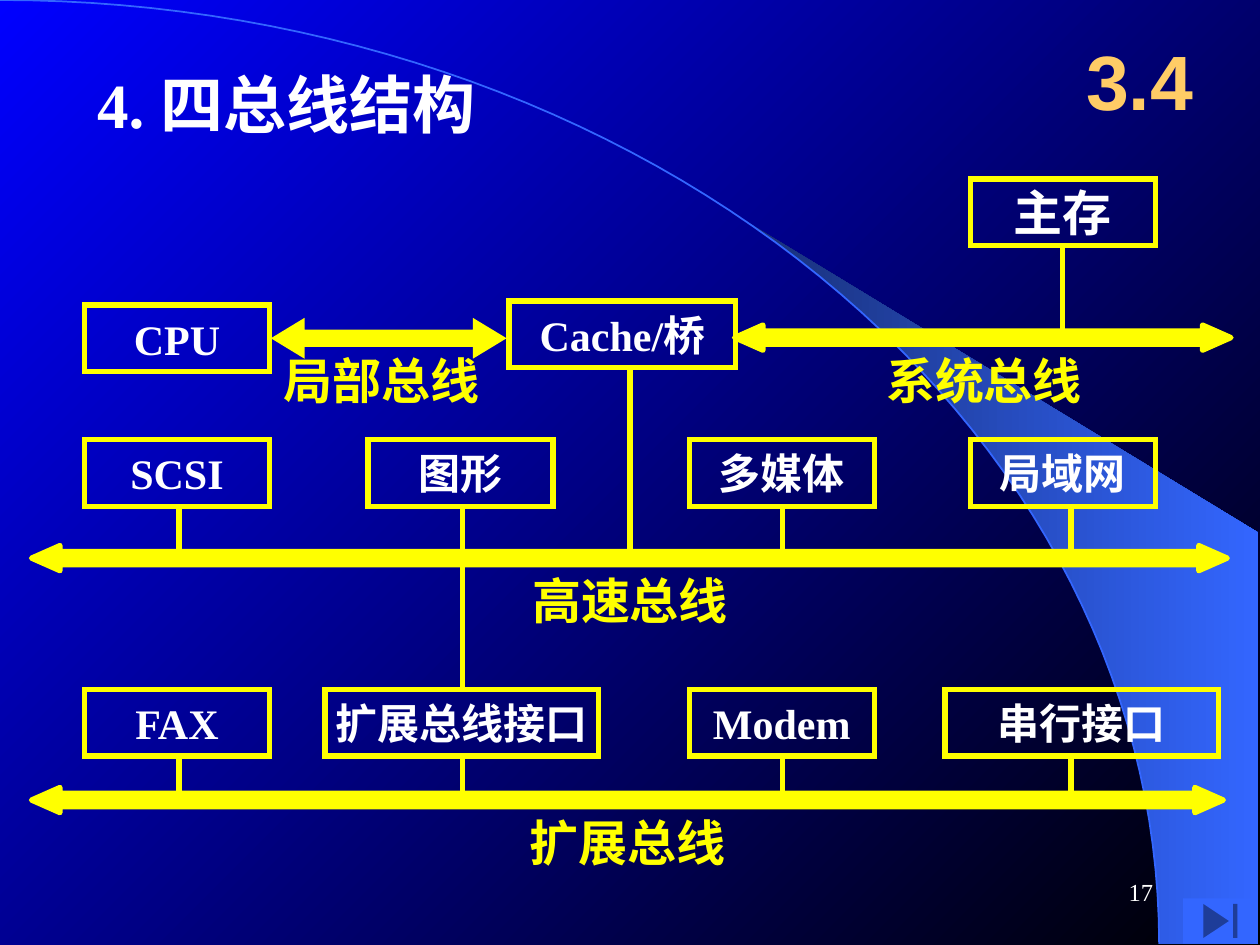
import math

from lxml import etree
from pptx import Presentation
from pptx.dml.color import RGBColor
from pptx.enum.shapes import MSO_CONNECTOR, MSO_SHAPE
from pptx.enum.text import MSO_ANCHOR, PP_ALIGN
from pptx.oxml.ns import qn
from pptx.util import Inches, Pt

LEFT, CENTER, RIGHT = PP_ALIGN.LEFT, PP_ALIGN.CENTER, PP_ALIGN.RIGHT
MIDDLE = MSO_ANCHOR.MIDDLE
RECT, ARROW = MSO_SHAPE.RECTANGLE, MSO_SHAPE.LEFT_RIGHT_ARROW
END_BUTTON = MSO_SHAPE.ACTION_BUTTON_END
STRAIGHT = MSO_CONNECTOR.STRAIGHT
CJK, SERIF, SANS = "Noto Sans CJK SC", "Times New Roman", "Arial"
YELLOW, WHITE, BLUE, GOLD = "FFFF00", "FFFFFF", "3366FF", "FFCC66"
BOX_W, BOX_H, BUS_H, LABEL_W = 1.47, 0.53, 0.2, 1.8


def rgb(color):
    """Turn a hex string into a colour."""
    return RGBColor.from_string(color)


def set_text(sp, text, size, font, color=WHITE, bold=True, align=CENTER, inset=0, wrap=False):
    """Write one formatted line of text into a shape."""
    tf = sp.text_frame
    frame = dict(word_wrap=wrap, vertical_anchor=MIDDLE, margin_left=Inches(inset),
                 margin_right=Inches(inset), margin_top=Inches(inset / 2),
                 margin_bottom=Inches(inset / 2))
    for key, value in frame.items():
        setattr(tf, key, value)
    p = tf.paragraphs[0]
    p.alignment = align
    r = p.add_run()
    r.text = text
    for key, value in dict(size=Pt(size), name=font, bold=bold).items():
        setattr(r.font, key, value)
    r.font.color.rgb = rgb(color)
    etree.SubElement(r.font._element, qn("a:ea"), typeface=CJK)


def set_line(sp, color, width, join="round"):
    """Draw the outline of a shape with the given corner join."""
    sp.line.color.rgb = rgb(color)
    sp.line.width = Pt(width)
    etree.SubElement(sp.line._get_or_add_ln(), qn(f"a:{join}"))


def set_gradient(fill, start, end, angle):
    """Apply a two-colour linear gradient."""
    fill.gradient()
    fill.gradient_angle = angle
    for stop, color, position in zip(fill.gradient_stops, (start, end), (0, 1)):
        stop.color.rgb = rgb(color)
        stop.position = position


def add_text(s, box, text, size, font, **formats):
    """Add a text box."""
    sp = s.shapes.add_textbox(*map(Inches, box))
    set_text(sp, text, size, font, **formats)


def add_outline(s, points, close):
    """Build a freeform through points given in inches."""
    points = [(Inches(x), Inches(y)) for x, y in points]
    builder = s.shapes.build_freeform(*points[0])
    builder.add_line_segments(points[1:], close=close)
    sp = builder.convert_to_shape()
    sp.shadow.inherit = False
    return sp


def add_backdrop(s, width, height):
    """Draw the gradient background, the quarter arc and the wedge beside it."""
    set_gradient(s.background.fill, "0000FF", "000000", 315)
    radius = width - 0.79

    def arc(start):
        angles = [start + (math.pi / 2 - start) * i / 60 for i in range(61)]
        return [(radius * math.sin(a), height * (1 - math.cos(a))) for a in angles]

    wedge = add_outline(s, arc(math.asin(5.89 / radius)) + [(width, height), (width, 4.23)], True)
    set_gradient(wedge.fill, "182F76", BLUE, 0)
    wedge.line.fill.background()
    curve = add_outline(s, arc(0), False)
    curve.fill.background()
    set_line(curve, BLUE, 1)


def add_heading(s, box, text, section):
    """Place the title at the left of a band and the section number at its right."""
    x, y, w, h = box
    title = s.shapes.title
    frame = dict(left=x, top=y + 0.3, width=4, height=0.7)
    for key, value in frame.items():
        setattr(title, key, Inches(value))
    set_text(title, text, 36, SERIF, align=LEFT, inset=0.1)
    add_text(s, (x + w - 1.25, y, 1.25, h), section, 44, SANS, color=GOLD, inset=0.1)


def add_device(s, x, y, text, font=CJK, width=BOX_W, size=24):
    """Draw one framed device box with its name."""
    sp = s.shapes.add_shape(RECT, *map(Inches, (x, y, width, BOX_H)))
    sp.shadow.inherit = False
    sp.fill.background()
    set_line(sp, YELLOW, 3, "miter")
    set_text(sp, text, size, font)


def add_arrow(s, box, shaft, head, join="round"):
    """Draw a solid double-headed bus arrow."""
    sp = s.shapes.add_shape(ARROW, *map(Inches, box))
    sp.shadow.inherit = False
    sp.fill.solid()
    sp.fill.fore_color.rgb = rgb(YELLOW)
    set_line(sp, YELLOW, 3, join)
    sp.adjustments[0], sp.adjustments[1] = shaft, head


def add_label(s, center, y, text):
    """Write a bus name centred on a position."""
    add_text(s, (center - LABEL_W / 2, y, LABEL_W, 0.47), text, 28, CJK, color=YELLOW)


def add_bus(s, x, y, width, text, label_center):
    """Draw a long bus with its name below."""
    add_arrow(s, (x, y, width, BUS_H), 0.53, 1.13)
    add_label(s, label_center, y + BUS_H, text)


def add_link(s, x, top, bottom):
    """Draw a vertical link."""
    sp = s.shapes.add_connector(STRAIGHT, *map(Inches, (x, top, x, bottom)))
    set_line(sp, YELLOW, 3)
    etree.SubElement(sp._element.spPr, qn("a:effectLst"))


def add_top_row(s, x, y):
    """Draw the processor, cache bridge and main memory with their buses."""
    add_device(s, x, y + 0.03, "CPU", SERIF)
    add_device(s, x + 3.37, y, "Cache/桥", SERIF, 1.8)
    add_device(s, x + 7.03, y - 0.97, "主存", size=28)
    add_link(s, x + 7.76, y - 0.44, y + 0.28)
    add_link(s, x + 4.33, y + BOX_H, y + 2.05)
    add_arrow(s, (x + 1.52, y + 0.17, 1.79, 0.25), 0.375, 0.824, "miter")
    add_label(s, x + 2.36, y + 0.39, "局部总线")
    add_bus(s, x + 5.16, y + 0.19, 3.94, "系统总线", x + 7.14)


def add_bus_row(s, y, devices, bus):
    """Draw a row of devices linked down to the bus below them."""
    bus_y = bus[1]
    for device, link_x in zip(devices, (1.42, 3.67, 6.21, 8.5)):
        x, *rest = device
        add_device(s, x, y, *rest)
        add_link(s, link_x, y + BOX_H, bus_y + BUS_H / 2)
    add_bus(s, *bus)


def main():
    """Build the slide."""
    prs = Presentation()
    prs.slide_width, prs.slide_height = Inches(10), Inches(7.5)
    s = prs.slides.add_slide(prs.slide_layouts[5])
    add_backdrop(s, 9.99, 7.49)
    add_heading(s, (0.67, 0.17, 9, 0.92), "4. 四总线结构", "3.4")
    add_top_row(s, 0.67, 2.39)
    add_bus_row(s, 3.49, [(0.67, "SCSI", SERIF), (2.92, "图形"), (5.47, "多媒体"),
                          (7.7, "局域网")], (0.25, 4.33, 9.49, "高速总线", 5))
    add_link(s, 3.67, 4.47, 5.47)
    add_bus_row(s, 5.47, [(0.67, "FAX", SERIF), (2.58, "扩展总线接口", CJK, 2.17),
                          (5.47, "Modem", SERIF), (7.5, "串行接口", CJK, 2.17)],
                (0.25, 6.25, 9.46, "扩展总线", 4.98))
    button = s.shapes.add_shape(END_BUTTON, *map(Inches, (9.39, 7.13, 0.59, 0.36)))
    button.shadow.inherit = False
    button.fill.solid()
    button.fill.fore_color.rgb = rgb(BLUE)
    button.line.fill.background()
    add_text(s, (7.17, 6.83, 2.08, 0.5), "17", 14, SERIF, bold=False, align=RIGHT,
             inset=0.1, wrap=True)
    prs.save("out.pptx")


if __name__ == "__main__":
    main()
